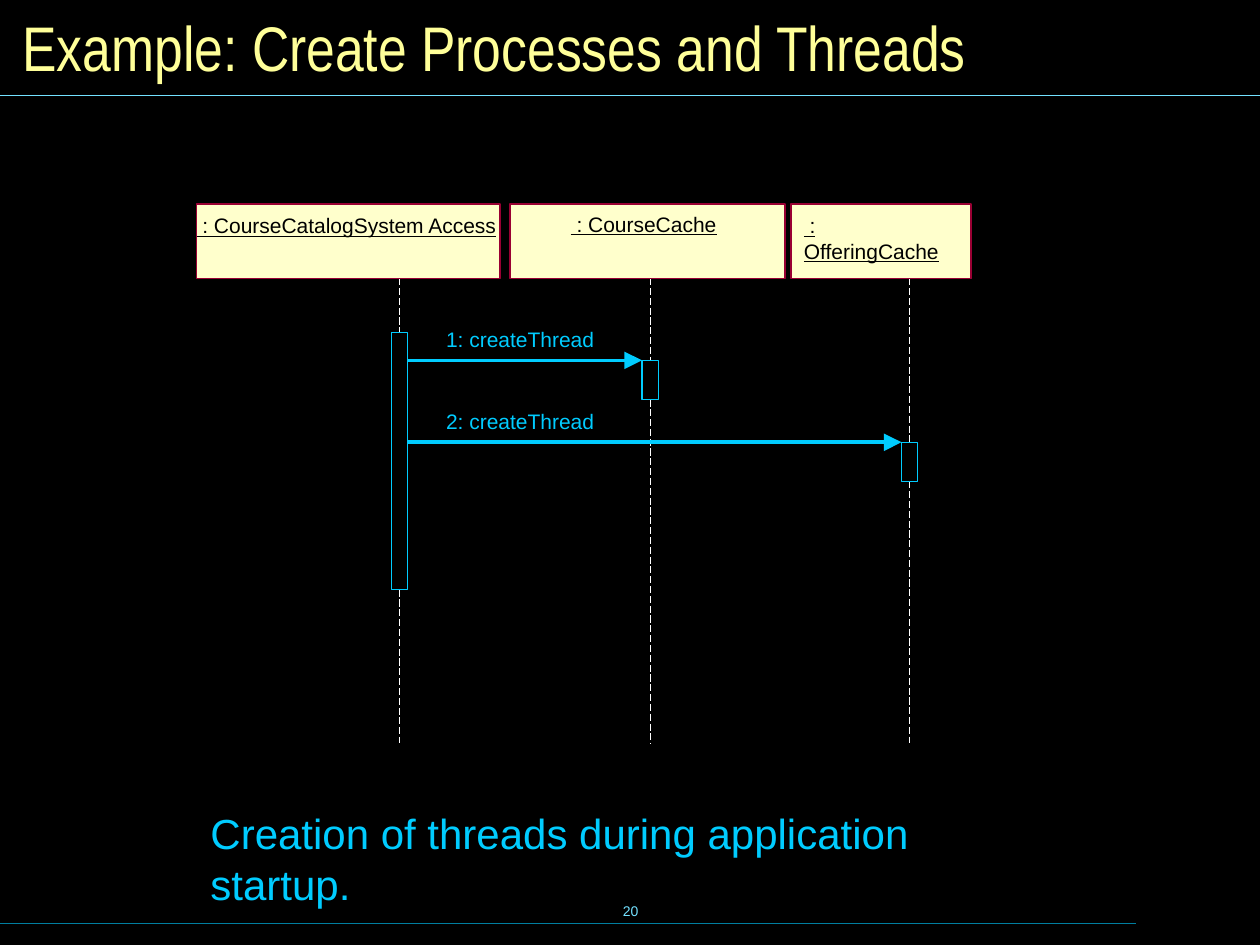
from lxml.etree import SubElement
from pptx import Presentation
from pptx.dml.color import RGBColor
from pptx.enum.dml import MSO_LINE_DASH_STYLE as DASH
from pptx.enum.shapes import MSO_CONNECTOR, MSO_SHAPE
from pptx.enum.text import MSO_ANCHOR as ANCHOR, PP_ALIGN as ALIGN
from pptx.oxml.ns import qn
from pptx.util import Inches, Pt

BLACK = RGBColor(0x00, 0x00, 0x00)
WHITE = RGBColor(0xFF, 0xFF, 0xFF)
YELLOW = RGBColor(0xFF, 0xFF, 0x99)
CREAM = RGBColor(0xFF, 0xFF, 0xCC)
MAROON = RGBColor(0x99, 0x00, 0x33)
CYAN = RGBColor(0x00, 0xCC, 0xFF)
PALE_CYAN = RGBColor(0x73, 0xE1, 0xFF)
TEAL = RGBColor(0x00, 0x7E, 0x9F)

presentation = Presentation()
presentation.slide_width = Inches(10)
presentation.slide_height = Inches(7.5)
slide = presentation.slides.add_slide(presentation.slide_layouts[6])
slide.background.fill.solid()
slide.background.fill.fore_color.rgb = BLACK

# Grid of 100 columns by 75 rows
COLUMN = presentation.slide_width / 100
ROW = presentation.slide_height / 75


def add_text(text, left, top, width, height, size, color, font="Arial", inset=(0, 0),
             wrap=False, anchor=ANCHOR.TOP, align=ALIGN.LEFT, underline=None):
    box = slide.shapes.add_textbox(int(left * COLUMN), int(top * ROW),
                                   int(width * COLUMN), int(height * ROW))
    frame = box.text_frame
    frame.word_wrap = wrap
    frame.vertical_anchor = anchor
    frame.margin_left = frame.margin_right = Inches(inset[0])
    frame.margin_top = frame.margin_bottom = Inches(inset[1])
    paragraph = frame.paragraphs[0]
    paragraph.alignment = align
    run = paragraph.add_run()
    run.text = text
    run.font.name = font
    run.font.size = Pt(size)
    run.font.color.rgb = color
    run.font.underline = underline


def add_line(x1, y1, x2, y2, color, width, dash=None, arrow=False):
    connector = slide.shapes.add_connector(
        MSO_CONNECTOR.STRAIGHT, int(x1 * COLUMN), int(y1 * ROW),
        int(x2 * COLUMN), int(y2 * ROW))
    connector.line.color.rgb = color
    connector.line.width = Pt(width)
    if dash:
        connector.line.dash_style = dash
    properties = connector._element.spPr
    if arrow:
        SubElement(properties.find(qn("a:ln")), qn("a:tailEnd"),
                   type="triangle", w="lg", len="lg")
    SubElement(properties, qn("a:effectLst"))


# Header, footer and page number
add_text("20", 34.2, 69.8, 31.7, 5, 8, PALE_CYAN, inset=(0.1, 0.05),
         anchor=ANCHOR.MIDDLE, align=ALIGN.CENTER)
add_line(0, 73.3, 90.2, 73.3, TEAL, 0.75)
add_line(0, 7.6, 100, 7.6, PALE_CYAN, 0.75)
add_text("Example: Create Processes and Threads", 0.8, 0.8, 98.4, 5.8, 36, YELLOW,
         font="Arial Narrow", inset=(0.1, 0.05), wrap=True, anchor=ANCHOR.MIDDLE)

# Participants: name, box left and width, label left, top and width,
# lifeline column, activation top and height
HEAD_TOP, HEAD_HEIGHT = 16.2, 5.9
LIFELINE_TOP, LIFELINE_END = 21.3, 59
BAR_WIDTH = 1.3
participants = [
    (" : CourseCatalogSystem Access", 15.6, 24.1, 15.6, 16.9, 23.9, 31.7, 26.4, 20.4),
    (" : CourseCache", 40.5, 21.8, 45.3, 16.8, 11.6, 51.6, 28.6, 3.1),
    (" : OfferingCache", 62.8, 14.3, 63.8, 16.9, 12.1, 72.2, 35.1, 3.1),
]
for (name, left, width, label_left, label_top, label_width,
     lifeline, bar_top, bar_height) in participants:
    bar_left = lifeline - BAR_WIDTH / 2
    bar_bottom = bar_top + bar_height
    for start, end in ((LIFELINE_TOP, bar_top), (bar_bottom, LIFELINE_END)):
        add_line(lifeline, start, lifeline, end, WHITE, 0.5, dash=DASH.LONG_DASH)

    for x, y, across, down, fill, outline, weight in (
            (left, HEAD_TOP, width, HEAD_HEIGHT, CREAM, MAROON, 1),
            (bar_left, bar_top, BAR_WIDTH, bar_height, None, CYAN, 0)):
        shape = slide.shapes.add_shape(MSO_SHAPE.RECTANGLE, int(x * COLUMN), int(y * ROW),
                                       int(across * COLUMN), int(down * ROW))
        shape.shadow.inherit = False
        if fill is None:
            shape.fill.background()
        else:
            shape.fill.solid()
            shape.fill.fore_color.rgb = fill
        shape.line.color.rgb = outline
        shape.line.width = Pt(weight)

    add_text(name, label_left, label_top, label_width, 2, 12, BLACK, underline=True)

# Messages from the first participant to the top of each other activation
caller_edge = participants[0][6] + BAR_WIDTH / 2
for number, participant in enumerate(participants[1:], start=1):
    lifeline, message_row = participant[6:8]
    add_line(caller_edge, message_row, lifeline - BAR_WIDTH / 2, message_row,
             CYAN, 0, arrow=True)
    add_text(f"{number}: createThread", 35.4, message_row - 2.65, 11.8, 2, 12, CYAN)

# Caption
add_text("Creation of threads during application startup.", 15.5, 63.5, 69.8, 5.2,
         24, CYAN, inset=(0.12, 0.06))

presentation.save("out.pptx")
